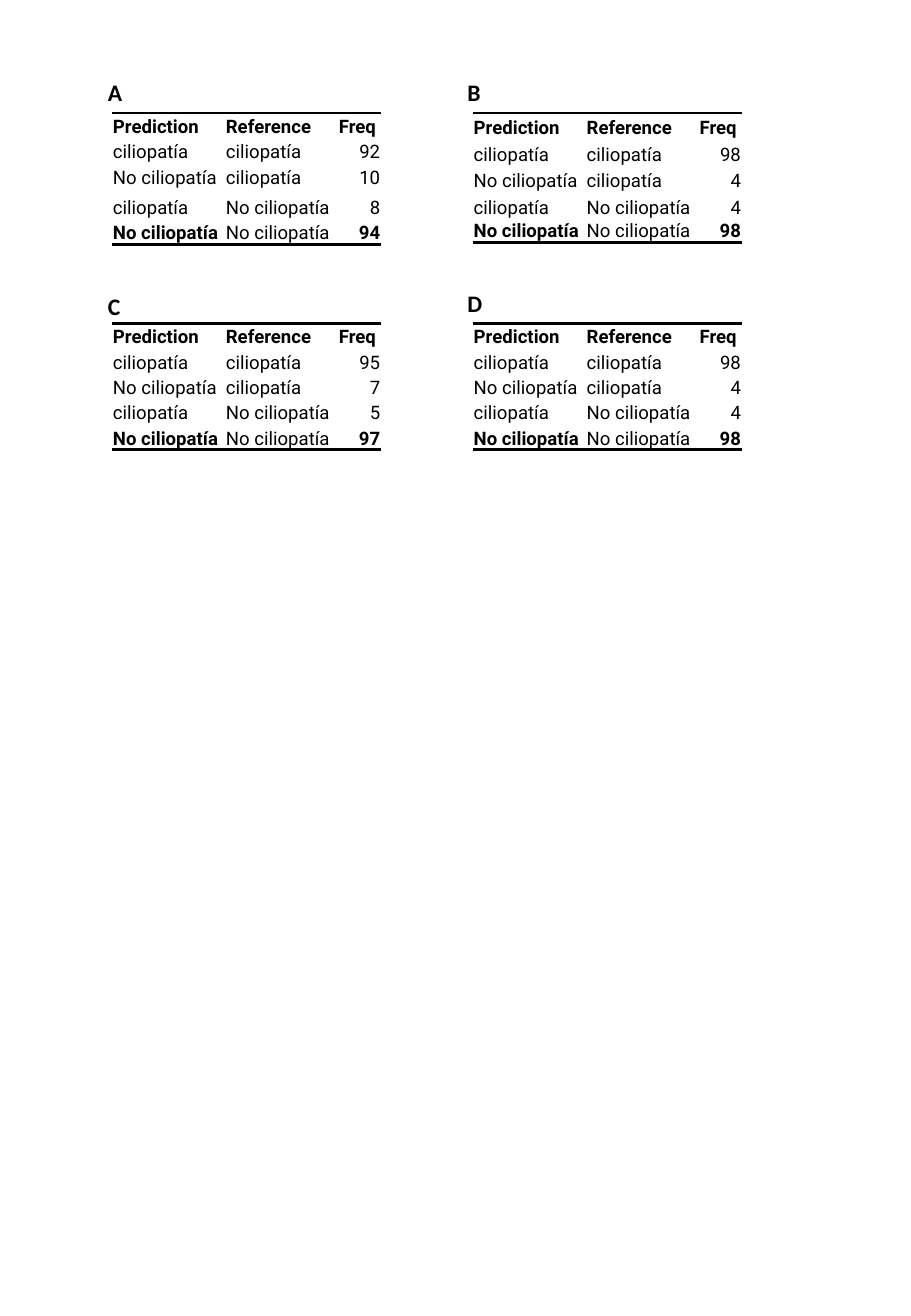
from pptx import Presentation
from pptx.dml.color import RGBColor
from pptx.enum import text
from pptx.oxml import parse_xml
from pptx.oxml import ns
from pptx.util import Inches, Pt

COLORS = {"ink": "000000", "paper": "FFFFFF"}
NO_STYLE = "{2D5ABB26-0587-4C30-8999-92F81FD0307C}"
COLUMN_WIDTHS = [0.93, 0.93, 0.36]
HEADER = ["Prediction", "Reference", "Freq"]
OUTCOMES = [
    ("ciliopatía", "ciliopatía"),
    ("No ciliopatía", "ciliopatía"),
    ("ciliopatía", "No ciliopatía"),
    ("No ciliopatía", "No ciliopatía"),
]


def format_runs(paragraph, font_name, size, bold):
    """Set the font of every run in a paragraph."""
    for run in paragraph.runs:
        run.font.name = font_name
        run.font.size = Pt(size)
        run.font.bold = bold
        run.font.color.rgb = RGBColor.from_string(COLORS["ink"])


def add_letter(slide, letter, left, top):
    """Add the bold letter that names a panel."""
    shape = slide.shapes.add_textbox(Inches(left), Inches(top), Inches(0.41), Inches(0.34))
    frame = shape.text_frame
    frame.text = letter
    frame.word_wrap = True
    frame.auto_size = text.MSO_AUTO_SIZE.SHAPE_TO_FIT_TEXT
    format_runs(frame.paragraphs[0], "Calibri", 14, True)


def add_border(cell, side):
    """Draw a 2 pt rule on one side of a cell ("T" or "B")."""
    border = parse_xml(
        f'<a:ln{side} {ns.nsdecls("a")} w="{Pt(2)}"><a:solidFill>'
        f'<a:srgbClr val="{COLORS["ink"]}"/></a:solidFill></a:ln{side}>'
    )
    cell._tc.get_or_add_tcPr().insert(0, border)


def fill_cell(cell, value, bold, right):
    """Write and format one table cell."""
    cell.margin_left = cell.margin_right = cell.margin_top = Inches(0.01)
    cell.margin_bottom = 0
    cell.vertical_anchor = text.MSO_ANCHOR.BOTTOM
    cell.fill.solid()
    cell.fill.fore_color.rgb = RGBColor.from_string(COLORS["paper"])
    paragraph = cell.text_frame.paragraphs[0]
    paragraph.text = value
    paragraph.alignment = text.PP_ALIGN.RIGHT if right else text.PP_ALIGN.LEFT
    format_runs(paragraph, "Roboto", 11, bold)


def add_confusion_table(slide, left, top, height, odd_row, odd_height, frequencies):
    """Add a table whose rows share the height left by one odd row."""
    rows = [HEADER] + [[*pair, str(count)] for pair, count in zip(OUTCOMES, frequencies)]
    last = len(rows) - 1
    frame = slide.shapes.add_table(
        len(rows), len(HEADER), Inches(left), Inches(top),
        Inches(sum(COLUMN_WIDTHS)), Inches(height),
    )
    table = frame.table
    table.first_row = table.horz_banding = False
    table._tbl.tblPr.find(ns.qn("a:tableStyleId")).text = NO_STYLE
    for column, width in zip(table.columns, COLUMN_WIDTHS):
        column.width = Inches(width)
    for i, values in enumerate(rows):
        shared_height = (height - odd_height) / last
        table.rows[i].height = Inches(odd_height if i == odd_row else shared_height)
        for j, value in enumerate(values):
            cell = table.cell(i, j)
            bold = i == 0 or (i == last and j != 1)
            fill_cell(cell, value, bold, right=i > 0 and j == 2)
            if i in (0, last):
                add_border(cell, "B" if i else "T")


def main():
    """Build the slide with four confusion tables."""
    presentation = Presentation()
    presentation.slide_width = Inches(7.5)
    presentation.slide_height = Inches(10.83)
    slide = presentation.slides.add_slide(presentation.slide_layouts[6])
    panels = [
        ("A", 0.79, 0.59, 0.92, 0.93, 1.08, 3, 0.25, [92, 10, 8, 94]),
        ("B", 3.75, 0.59, 3.89, 0.93, 1.06, 4, 0.19, [98, 4, 4, 98]),
        ("C", 0.79, 2.35, 0.92, 2.66, 1.04, 4, 0.21, [95, 7, 5, 97]),
        ("D", 3.75, 2.33, 3.89, 2.66, 1.04, 4, 0.21, [98, 4, 4, 98]),
    ]
    for letter, letter_left, letter_top, *table_values in panels:
        add_confusion_table(slide, *table_values)
        add_letter(slide, letter, letter_left, letter_top)
    presentation.save("out.pptx")


if __name__ == "__main__":
    main()
